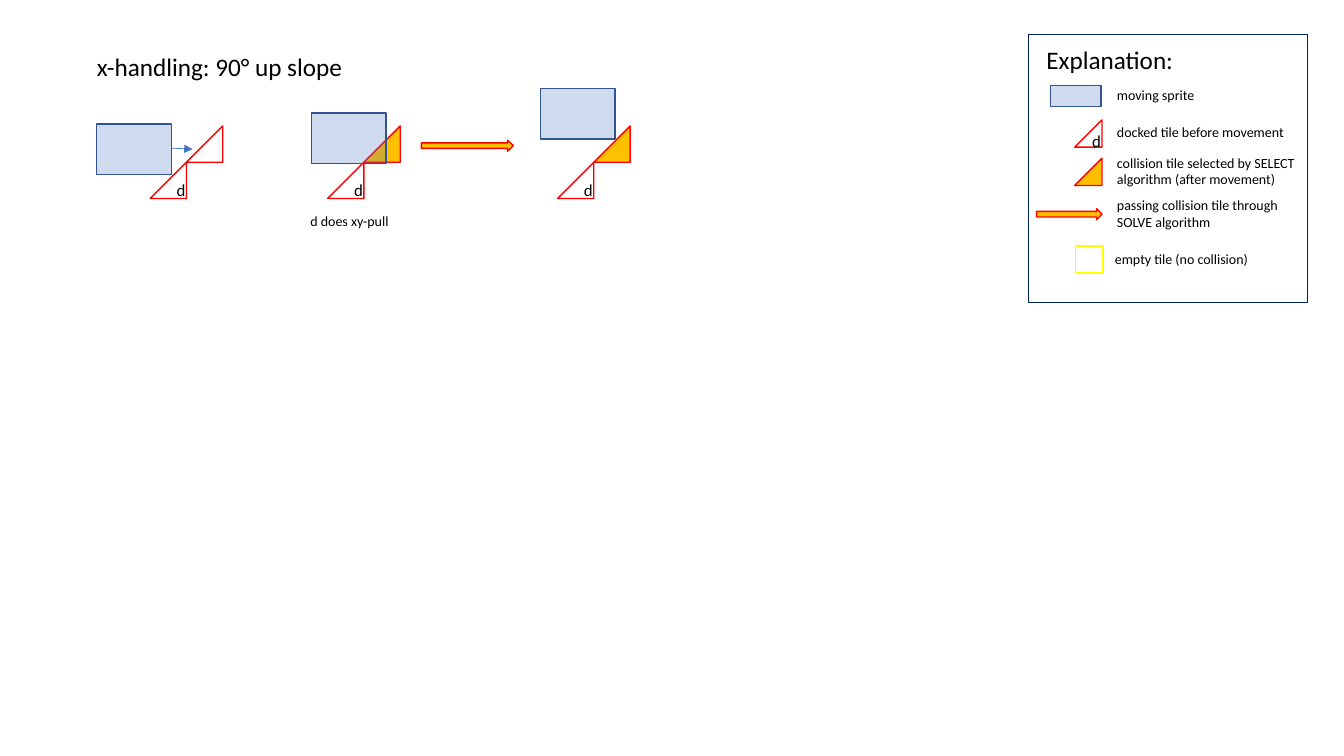
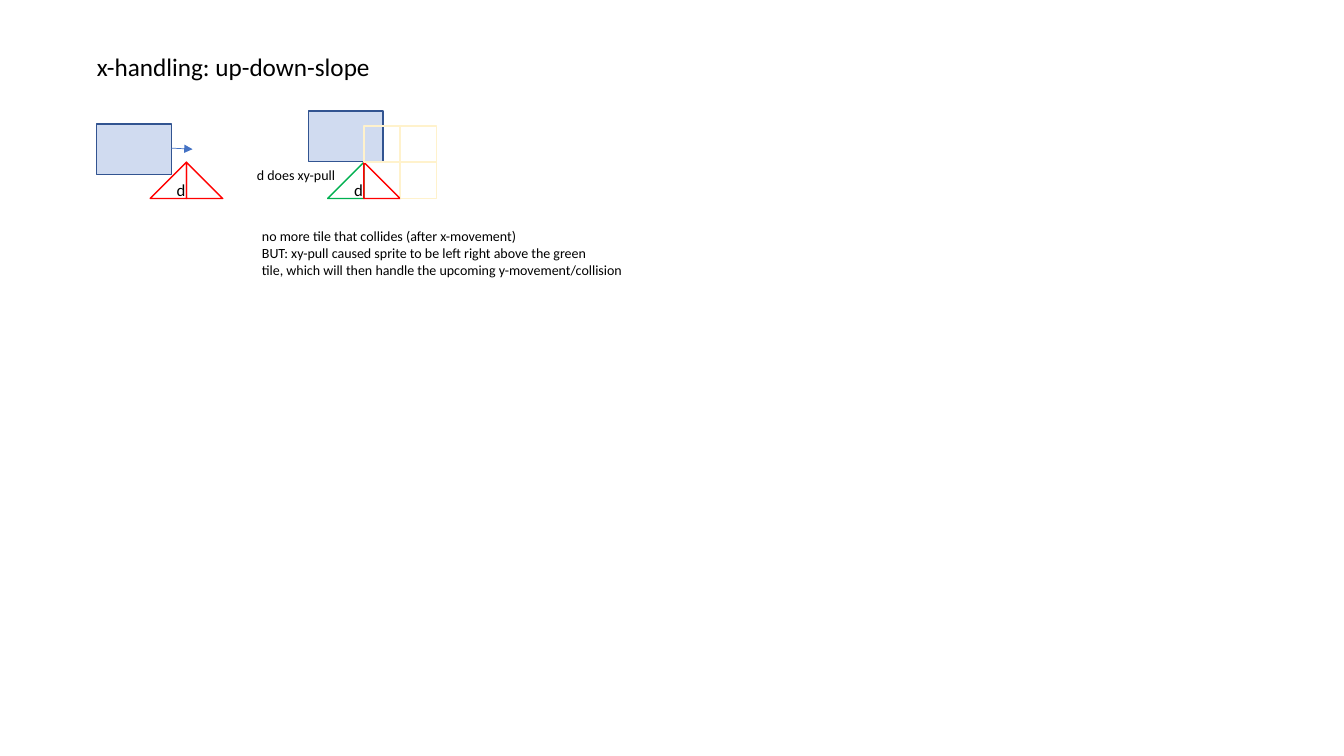
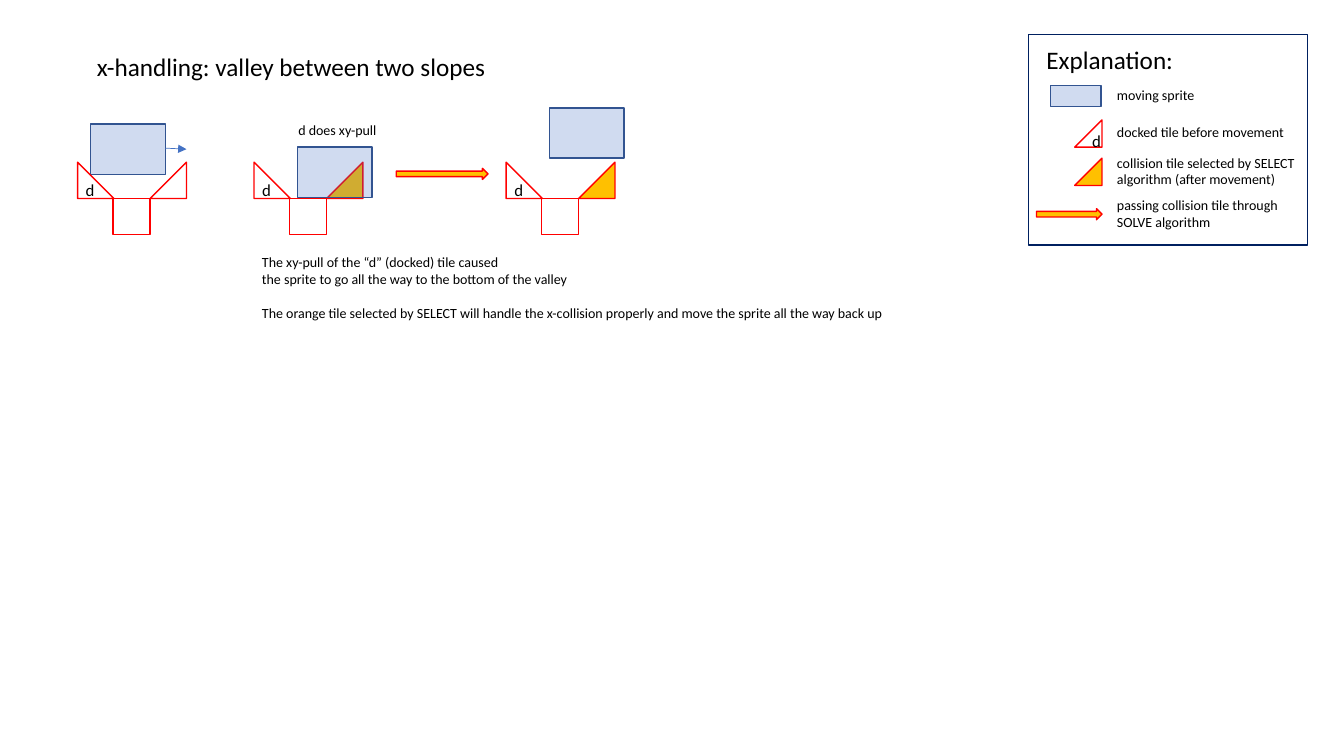
from dataclasses import dataclass, replace
from typing import Optional

from pptx import Presentation
from pptx.dml.color import RGBColor
from pptx.enum.shapes import MSO_CONNECTOR, MSO_SHAPE
from pptx.enum.text import MSO_ANCHOR, MSO_AUTO_SIZE, PP_ALIGN
from pptx.oxml.ns import qn
from pptx.oxml.xmlchemy import OxmlElement
from pptx.util import Inches, Pt

RECT = MSO_SHAPE.RECTANGLE
SLOPE = MSO_SHAPE.ISOSCELES_TRIANGLE
ARROW = MSO_SHAPE.RIGHT_ARROW
LINE = MSO_CONNECTOR.STRAIGHT
TOP = MSO_ANCHOR.TOP
LEFT = PP_ALIGN.LEFT
CENTER = PP_ALIGN.CENTER
GROW = MSO_AUTO_SIZE.SHAPE_TO_FIT_TEXT

BLACK = RGBColor(0x00, 0x00, 0x00)
RED = RGBColor(0xFF, 0x00, 0x00)
ORANGE = RGBColor(0xFF, 0xC0, 0x00)
GREEN = RGBColor(0x00, 0xB0, 0x50)
YELLOW = RGBColor(0xFF, 0xFF, 0x00)
CREAM = RGBColor(0xFF, 0xF2, 0xCC)
NAVY = RGBColor(0x00, 0x20, 0x60)
BLUE = RGBColor(0x44, 0x72, 0xC4)
EDGE = RGBColor(0x32, 0x54, 0x91)

FONT = "Calibri"
TILE = 0.36
ICON = 0.27
BASE = 1.61
WIDE = 0.74
TALL = 0.5
PULL = "d does xy-pull"


@dataclass(frozen=True)
class Part:
    form: int
    left: float
    top: float
    wide: float = TILE
    tall: float = TILE
    line: RGBColor = RED
    fill: Optional[RGBColor] = None
    alpha: int = 100
    flip: bool = False
    mark: str = ""


@dataclass(frozen=True)
class Note:
    text: str
    left: float
    top: float
    wide: float
    tall: float = 0.27
    size: int = 10


def style(frame, size: int, align=LEFT) -> None:
    for para in frame.paragraphs:
        para.alignment = align
        for run in para.runs:
            run.font.name = FONT
            run.font.size = Pt(size)
            run.font.color.rgb = BLACK


def draw(shapes, part: Part) -> None:
    shape = shapes.add_shape(part.form, Inches(part.left), Inches(part.top),
                             Inches(part.wide), Inches(part.tall))
    shape.shadow.inherit = False
    shape.line.color.rgb = part.line
    shape.line.width = Pt(1)
    props = shape.element.spPr
    if part.form == SLOPE:
        shape.adjustments[0] = 1
    if part.flip:
        props.find(qn("a:xfrm")).set("flipH", "1")
    if part.fill is None:
        shape.fill.background()
    else:
        shape.fill.solid()
        shape.fill.fore_color.rgb = part.fill
    if part.alpha < 100:
        alpha = OxmlElement("a:alpha")
        alpha.set("val", str(part.alpha * 1000))
        props.find(f"{qn('a:solidFill')}/{qn('a:srgbClr')}").append(alpha)
    if part.mark:
        shape.text_frame.text = part.mark
        style(shape.text_frame, 12, CENTER)


def write(shapes, note: Note):
    box = shapes.add_textbox(Inches(note.left), Inches(note.top),
                             Inches(note.wide), Inches(note.tall))
    frame = box.text_frame
    frame.text = note.text
    frame.word_wrap = False
    frame.auto_size = GROW
    style(frame, note.size)
    return frame


def sprite(left: float, top: float, wide: float = WIDE, tall: float = TALL) -> Part:
    return Part(RECT, left, top, wide, tall, EDGE, BLUE, 25)


def solve(left: float, top: float, wide: float = 0.91) -> Part:
    return Part(ARROW, left, top, wide, 0.11, fill=ORANGE)


def scene(slide, *parts: Part):
    group = slide.shapes.add_group_shape()
    for part in parts:
        draw(group.shapes, part)
    return group.shapes


def move(shapes, left: float) -> None:
    line = shapes.add_connector(LINE, Inches(left), Inches(1.47),
                                Inches(left + 0.21), Inches(1.48))
    line.line.color.rgb = BLUE
    line.line.width = Pt(0.5)
    tail = OxmlElement("a:tailEnd")
    tail.set("type", "triangle")
    props = line.element.spPr
    props.find(qn("a:ln")).append(tail)
    props.append(OxmlElement("a:effectLst"))


def climb(slide, left: float, body: Part, fill: Optional[RGBColor] = None):
    return scene(slide, Part(SLOPE, left, BASE, mark="d"),
                 Part(SLOPE, left + TILE, BASE - TILE, fill=fill), body)


def valley(slide, left: float, body: Part, fill: Optional[RGBColor] = None):
    return scene(slide, Part(SLOPE, left + 2 * TILE, BASE, fill=fill), body,
                 Part(SLOPE, left, BASE, flip=True, mark="d"),
                 Part(RECT, left + 0.35, BASE + TILE, 0.37))


def legend(slide, tall: float, empty: bool = False) -> None:
    slope = Part(SLOPE, 10.66, 1.19, ICON, ICON, mark="d")
    shapes = scene(slide, Part(RECT, 10.2, 0.34, 2.77, tall, NAVY),
                   sprite(10.42, 0.85, 0.5, 0.21), slope,
                   replace(slope, top=1.57, fill=ORANGE, mark=""),
                   solve(10.28, 2.07, 0.65))
    notes = [
        Note("Explanation:", 10.28, 0.39, 1.47, 0.4, 18),
        Note("moving sprite", 10.98, 0.81, 0.98),
        Note("docked tile before movement", 10.98, 1.18, 1.89),
        Note("collision tile selected by SELECT\nalgorithm (after movement)",
             10.98, 1.48, 1.99, 0.44),
        Note("passing collision tile through\nSOLVE algorithm",
             10.98, 1.9, 1.82, 0.44),
    ]
    if empty:
        draw(shapes, Part(RECT, 10.67, 2.44, ICON, ICON, YELLOW))
        notes.append(Note("empty tile (no collision)", 10.96, 2.44, 1.54))
    for note in notes:
        write(shapes, note)


def start(deck, text: str, wide: float):
    slide = deck.slides.add_slide(deck.slide_layouts[5])
    title = slide.shapes.title
    title.left, title.top = Inches(0.86), Inches(0.46)
    title.width, title.height = Inches(wide), Inches(0.4)
    frame = title.text_frame
    frame.text = text
    frame.word_wrap = False
    frame.auto_size = GROW
    frame.vertical_anchor = TOP
    style(frame, 18)
    return slide


def rise(deck) -> None:
    slide = start(deck, "x-handling: 90° up slope", 2.68)
    move(climb(slide, 1.49, sprite(0.96, 1.23)), 1.7)
    climb(slide, 3.25, sprite(3.09, 1.12), ORANGE)
    draw(slide.shapes, solve(4.18, 1.39))
    climb(slide, 5.53, sprite(5.36, 0.88), ORANGE)
    legend(slide, 2.66, True)
    write(slide.shapes, Note(PULL, 2.98, 2.06, 0.99))


def peak(deck) -> None:
    slide = start(deck, "x-handling: up-down-slope", 2.95)
    void = Part(RECT, 3.61, BASE, line=CREAM)
    draw(slide.shapes, void)
    for left, body, line in ((1.49, sprite(0.96, 1.23), RED),
                             (3.25, sprite(3.06, 1.1), GREEN)):
        shapes = scene(slide, Part(SLOPE, left, BASE, line=line, mark="d"), body,
                       Part(SLOPE, left + TILE, BASE, flip=True))
        if line == RED:
            move(shapes, 1.7)
    for col, row in ((0, 1), (1, 1), (1, 0)):
        draw(slide.shapes, replace(void, left=void.left + col * TILE,
                                   top=BASE - row * TILE))
    write(slide.shapes, Note(
        "no more tile that collides (after x-movement)\n"
        "BUT: xy-pull caused sprite to be left right above the green\n"
        "tile, which will then handle the upcoming y-movement/collision",
        2.5, 2.21, 3.87, 0.61))
    write(slide.shapes, Note(PULL, 2.45, 1.6, 0.99))


def dip(deck) -> None:
    slide = start(deck, "x-handling: valley between two slopes", 4.17)
    move(valley(slide, 0.77, sprite(0.9, 1.23)), 1.64)
    valley(slide, 2.52, sprite(2.95, 1.46), ORANGE)
    draw(slide.shapes, solve(3.93, 1.67))
    valley(slide, 5.02, sprite(5.45, 1.07), ORANGE)
    legend(slide, 2.09)
    frame = write(slide.shapes, Note(
        "The xy-pull of the “d” (docked) tile caused\n"
        "the sprite to go all the way to the bottom of the valley\n"
        "The orange tile selected by SELECT will handle the x-collision "
        "properly and move the sprite all the way back up",
        2.5, 2.47, 6.41, 0.77))
    frame.paragraphs[-1].space_before = Pt(12)
    write(slide.shapes, Note(PULL, 2.86, 1.16, 0.99))


def main() -> None:
    deck = Presentation()
    deck.slide_width, deck.slide_height = Inches(13.33), Inches(7.5)
    for build in (rise, peak, dip):
        build(deck)
    deck.save("out.pptx")


main()
